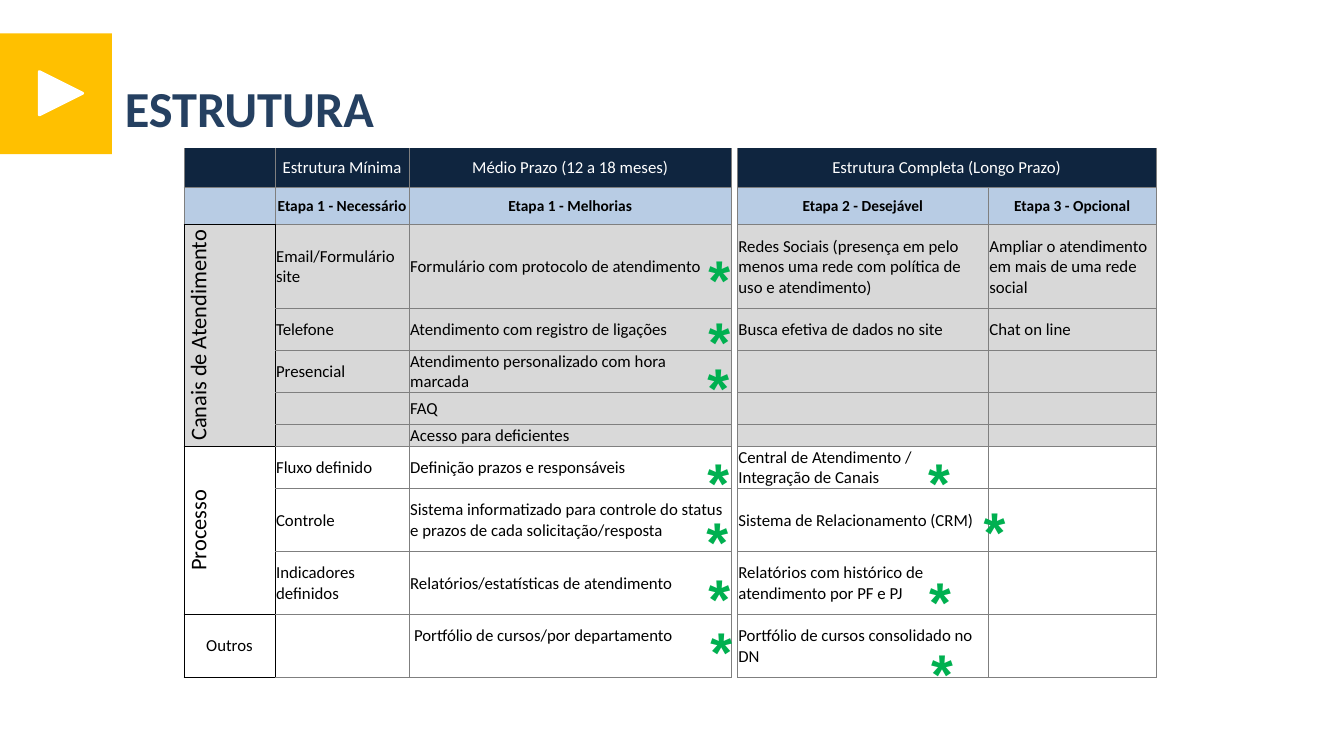
from typing import NamedTuple

from lxml import etree
from pptx import Presentation
from pptx.dml.color import RGBColor
from pptx.enum import shapes, text
from pptx.oxml import ns
from pptx.util import Pt

NAVY, PALE, GREY, WHITE, BLACK = "0F253F", "B8CCE4", "D8D8D8", "FFFFFF", "000000"
YELLOW, GREEN, TITLE, RULE = "FFC000", "00B050", "254061", "7F7F7F"
GAP = 3


class Star(NamedTuple):
    left: float
    top: float


class Row(NamedTuple):
    height: float
    fill: str | None
    texts: tuple[str, ...]


COLUMNS = (65.1, 95.8, 230.2, 4.3, 179.3, 119.7)
ROWS = (
    Row(28.1, NAVY, ("", "Estrutura Mínima", "Médio Prazo (12 a 18 meses)", "",
                     "Estrutura Completa (Longo Prazo)", "")),
    Row(26.6, PALE, ("", "Etapa 1 - Necessário", "Etapa 1 - Melhorias", "",
                     "Etapa 2 - Desejável", "Etapa 3 - Opcional")),
    Row(59.8, GREY, ("Canais de Atendimento", "Email/Formulário site",
                     "Formulário com protocolo de atendimento", "",
                     "Redes Sociais (presença em pelo menos uma rede com política de uso e atendimento)",
                     "Ampliar o atendimento em mais de uma rede social")),
    Row(30, GREY, ("", "Telefone", "Atendimento com registro de ligações", "",
                   "Busca efetiva de dados no site", "Chat on line")),
    Row(30, GREY, ("", "Presencial", "Atendimento personalizado com hora marcada", "", "", "")),
    Row(23, GREY, ("", "", "FAQ", "", "", "")),
    Row(15.6, "D9D9D9", ("", "", "Acesso para deficientes", "", "", "")),
    Row(30, None, ("Processo", "Fluxo definido", "Definição prazos e responsáveis", "",
                   "Central de Atendimento / Integração de Canais", "")),
    Row(45, None, ("", "Controle",
                   "Sistema informatizado para controle do status e prazos de cada solicitação/resposta",
                   "", "Sistema de Relacionamento (CRM)", "")),
    Row(45, None, ("", "Indicadores definidos", "Relatórios/estatísticas de atendimento", "",
                   "Relatórios com histórico de atendimento por PF e PJ", "")),
    Row(45, None, ("Outros", "", "Portfólio de cursos/por departamento", "",
                   "Portfólio de cursos consolidado no DN", "")),
)
STARS = (
    Star(499, 171.4), Star(499, 215.3), Star(498.2, 248.4), Star(498.2, 316.1),
    Star(497.5, 358.6), Star(499, 398.9), Star(500.4, 437),
    Star(655.9, 316.1), Star(695.5, 351.4), Star(656.6, 401), Star(658.1, 452.2),
)


def rgb(color: str) -> RGBColor:
    return RGBColor.from_string(color)


def style(p, name: str, size: float, color: str, bold: bool = False) -> None:
    font = p.font
    font.name, font.size, font.bold = name, Pt(size), bold
    font.color.rgb = rgb(color)


def add_solid(s, kind, left: float, top: float, width: float, height: float, color: str):
    sp = s.shapes.add_shape(kind, Pt(left), Pt(top), Pt(width), Pt(height))
    sp.shadow.inherit = False
    sp.fill.solid()
    sp.fill.fore_color.rgb = rgb(color)
    sp.line.fill.background()
    return sp


def add_text(s, words: str, left: float, top: float, width: float, height: float,
             name: str, size: float, color: str):
    tf = s.shapes.add_textbox(Pt(left), Pt(top), Pt(width), Pt(height)).text_frame
    tf.word_wrap = True
    p = tf.paragraphs[0]
    p.text = words
    style(p, name, size, color, True)
    return tf


def set_borders(cell, colors: dict[str, str | None]) -> None:
    tc_pr = cell._tc.get_or_add_tcPr()
    for i, side in enumerate("LRTB"):
        ln = etree.Element(ns.qn(f"a:ln{side}"), w=str(Pt(0.5)))
        color = colors[side]
        if color:
            fill = etree.SubElement(ln, ns.qn("a:solidFill"))
            etree.SubElement(fill, ns.qn("a:srgbClr"), val=color)
        else:
            etree.SubElement(ln, ns.qn("a:noFill"))
        tc_pr.insert(i, ln)


def border_colors(row: int, col: int) -> dict[str, str | None]:
    colors = dict.fromkeys("LRTB", RULE)
    if row == 0:
        colors["T"] = None
    if col == GAP:
        colors["T"] = colors["B"] = None
    if row >= 2 and col == 0:
        colors = dict.fromkeys("LRTB", BLACK)
    if row >= 2 and col == 1:
        colors["L"] = BLACK
    if row == 1 and col == 0:
        colors["B"] = BLACK
    return colors


def fill_cell(cell, row: int, col: int) -> None:
    cell.margin_left = cell.margin_right = cell.margin_top = Pt(0.72)
    cell.margin_bottom = 0
    cell.vertical_anchor = text.MSO_ANCHOR.MIDDLE
    color = None if col == GAP else ROWS[row].fill
    if color:
        cell.fill.solid()
        cell.fill.fore_color.rgb = rgb(color)
    else:
        cell.fill.background()
    words = ROWS[row].texts[col]
    p = cell.text_frame.paragraphs[0]
    p.text = words
    if row < 2 or col == 0:
        p.alignment = text.PP_ALIGN.CENTER
    size = 11 if row == 1 else 12
    if words in ("Canais de Atendimento", "Processo"):
        size = 16
        cell._tc.get_or_add_tcPr().set("vert", "vert270")
    if not words:
        size = 8
    style(p, "Calibri", size, WHITE if row == 0 else BLACK, row == 1)
    set_borders(cell, border_colors(row, col))


def add_plan(s) -> None:
    frame = s.shapes.add_table(len(ROWS), len(COLUMNS), Pt(131.4), Pt(105.8),
                               Pt(sum(COLUMNS)), Pt(sum(r.height for r in ROWS)))
    table = frame.table
    table.first_row = table.horz_banding = False
    for column, width in zip(table.columns, COLUMNS):
        column.width = Pt(width)
    for i, row in enumerate(ROWS):
        table.rows[i].height = Pt(row.height)
        for j in range(len(COLUMNS)):
            fill_cell(table.cell(i, j), i, j)
    table.cell(4, 2).margin_right = Pt(20)
    portfolio = table.cell(len(ROWS) - 1, 2)
    portfolio.margin_left, portfolio.margin_bottom = Pt(3.5), Pt(14.4)
    table.cell(0, 4).merge(table.cell(0, 5))
    table.cell(2, 0).merge(table.cell(6, 0))
    table.cell(7, 0).merge(table.cell(9, 0))


def main() -> None:
    prs = Presentation()
    prs.slide_width, prs.slide_height = Pt(960), Pt(540)
    s = prs.slides.add_slide(prs.slide_layouts[6])
    add_solid(s, shapes.MSO_SHAPE.RECTANGLE, 0, 23.8, 80, 86.4, YELLOW)
    sp = add_solid(s, shapes.MSO_SHAPE.ISOSCELES_TRIANGLE, 28.1, 51.1, 31, 31, WHITE)
    sp.rotation = 90
    sp.line.color.rgb = rgb(WHITE)
    sp.line.width = Pt(2)
    add_plan(s)
    for star in STARS:
        tf = add_text(s, "*", star.left, star.top, 23.8, 55.4, "Arial", 40, GREEN)
        tf.auto_size = text.MSO_AUTO_SIZE.SHAPE_TO_FIT_TEXT
    tf = add_text(s, "ESTRUTURA", 82.1, 51.1, 877.7, 54, "Calibri", 36, TITLE)
    tf.margin_bottom = Pt(6)
    tf.vertical_anchor = text.MSO_ANCHOR.MIDDLE
    prs.save("out.pptx")


if __name__ == "__main__":
    main()
